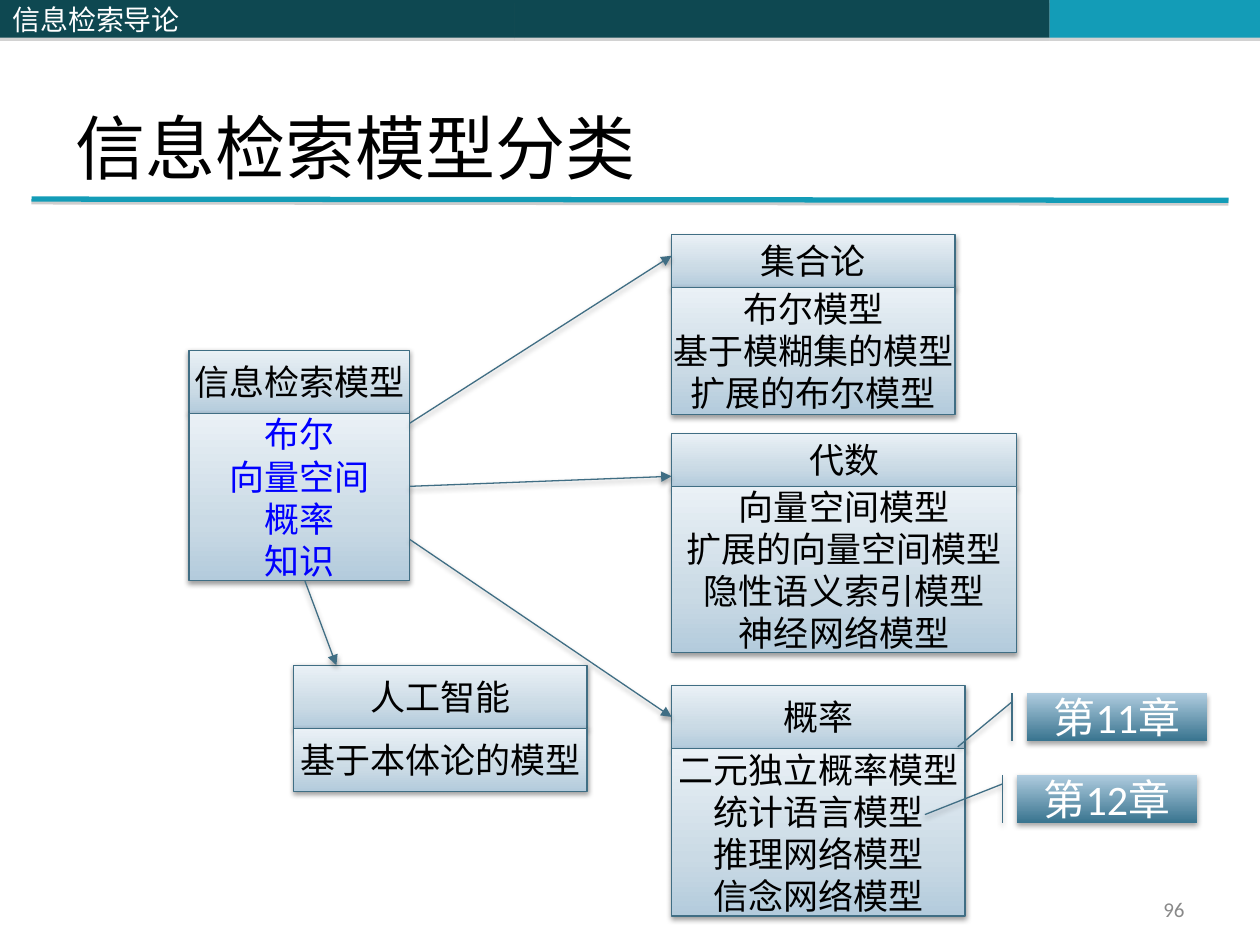
from lxml import etree
from pptx import Presentation
from pptx.dml.color import RGBColor
from pptx.enum.shapes import MSO_CONNECTOR, MSO_SHAPE
from pptx.enum.text import MSO_ANCHOR, PP_ALIGN
from pptx.oxml.ns import qn
from pptx.util import Inches, Pt

RECT, CALLOUT = MSO_SHAPE.RECTANGLE, MSO_SHAPE.LINE_CALLOUT_1_ACCENT_BAR
STRAIGHT = MSO_CONNECTOR.STRAIGHT
LEFT, CENTER, RIGHT = PP_ALIGN.LEFT, PP_ALIGN.CENTER, PP_ALIGN.RIGHT
MIDDLE, BOTTOM = MSO_ANCHOR.MIDDLE, MSO_ANCHOR.BOTTOM

COLORS = {
    "dark": "0E4851", "teal": "139CB7", "edge": "406E84", "white": "FFFFFF",
    "black": "000000", "blue": "0000FF", "gray": "898989",
}
PALE = [(0, "B3CBDC"), (35, "CADAE5"), (100, "EAF1F6")]
STEEL = [(0, "39748F"), (100, "AFCCDF")]
# Shadows: colour, opacity in percent, blur and distance in points
BAR_SHADE = ("808080", 35, 0, 1.8)
RULE_SHADE = ("808080", 38, 0, 1.6)
BOX_SHADE = ("000000", 38, 3.1, 1.6)
TAG_SHADE = ("000000", 35, 3.1, 1.8)
SERIF, SANS, CJK = "Times New Roman", "Calibri", "Noto Sans CJK SC"


def color(name):
    return RGBColor.from_string(COLORS[name])


def node(parent, tag, **attrs):
    return etree.SubElement(parent, qn(tag), {k: str(v) for k, v in attrs.items()})


class Deck:
    def __init__(self):
        self.prs = Presentation()
        self.prs.slide_width, self.prs.slide_height = Inches(10), Inches(7.5)
        self.slide = self.prs.slides.add_slide(self.prs.slide_layouts[5])
        self.shapes = self.slide.shapes

    def shade(self, props, style):
        tint, alpha, blur, dist = style
        effects = props.find(qn("a:effectLst"))
        if effects is None:
            effects = node(props, "a:effectLst")
        shadow = node(effects, "a:outerShdw", blurRad=Pt(blur), dist=Pt(dist),
                      dir=5400000, rotWithShape=0)
        node(node(shadow, "a:srgbClr", val=tint), "a:alpha", val=alpha * 1000)

    def text(self, frame, lines, size, font, tint, align, anchor=MIDDLE, wrap=True):
        frame.word_wrap = wrap
        frame.vertical_anchor = anchor
        frame.text = "\n".join(lines)
        for para in frame.paragraphs:
            para.alignment = align
            para.font.size, para.font.name = Pt(size), font
            para.font.color.rgb = color(tint)

    def title(self, text, *place):
        shape = self.shapes.title
        shape.left, shape.top, shape.width, shape.height = map(Inches, place)
        self.text(shape.text_frame, [text], 40, SERIF, "black", LEFT, BOTTOM)

    def label(self, text, *place):
        box = self.shapes.add_textbox(*map(Inches, place))
        self.text(box.text_frame, [text], 12, SANS, "gray", RIGHT)

    def bar(self, left, width, tint, text=None):
        shape = self.shapes.add_shape(RECT, Inches(left), 0, Inches(width), Inches(0.3))
        shape.fill.solid()
        shape.fill.fore_color.rgb = color(tint)
        shape.line.fill.background()
        shape.shadow.inherit = False
        self.shade(shape._element.spPr, BAR_SHADE)
        if text:
            self.text(shape.text_frame, [text], 16, CJK, "white", LEFT)

    def panel(self, kind, place, stops, style):
        shape = self.shapes.add_shape(kind, *map(Inches, place))
        shape.fill.gradient()
        shape.fill.gradient_angle = 90
        props = shape._element.spPr
        ramp = props.find(qn("a:gradFill")).find(qn("a:gsLst"))
        for stop in list(ramp):
            ramp.remove(stop)
        for pos, tint in stops:
            node(node(ramp, "a:gs", pos=pos * 1000), "a:srgbClr", val=tint)
        shape.line.color.rgb = color("edge")
        shape.line.width = Pt(0.75)
        shape.shadow.inherit = False
        self.shade(props, style)
        return shape

    def card(self, left, top, width, head, body, name, items, tint="black"):
        parts = [(top, head, [name], "black"), (top + head, body, items, tint)]
        for y, height, lines, ink in parts:
            shape = self.panel(RECT, (left, y, width, height), PALE, BOX_SHADE)
            self.text(shape.text_frame, lines, 20, SERIF, ink, CENTER, wrap=False)

    def tag(self, left, top, text, adjust=()):
        shape = self.panel(CALLOUT, (left, top, 1.43, 0.38), STEEL, TAG_SHADE)
        for i, value in enumerate(adjust):
            shape.adjustments[i] = value
        self.text(shape.text_frame, [text], 24, SANS, "white", CENTER)

    def line(self, start, end, tint="edge", width=0.75, style=BOX_SHADE, arrow=True):
        link = self.shapes.add_connector(STRAIGHT, *map(Inches, start + end))
        link.line.color.rgb = color(tint)
        link.line.width = Pt(width)
        props = link._element.spPr
        if arrow:
            node(props.find(qn("a:ln")), "a:tailEnd", type="triangle")
        self.shade(props, style)


def main():
    deck = Deck()

    # Header bars, rule, title and page number
    deck.bar(4.08, 4.25, "dark")
    deck.bar(8.33, 1.67, "teal")
    deck.line((0.25, 1.58), (9.75, 1.59), "teal", 3, RULE_SHADE, arrow=False)
    deck.bar(0, 4.08, "dark", "信息检索导论")
    deck.title("信息检索模型分类", 0.5, 0.3, 9, 1.25)
    deck.label("96", 7.17, 7.08, 2.33, 0.27)

    # Model families: left, top, width, head and body heights
    deck.card(1.5, 2.78, 1.75, 0.5, 1.33, "信息检索模型",
              ["布尔", "向量空间", "概率", "知识"], "blue")
    deck.card(5.33, 1.86, 2.25, 0.42, 1.01, "集合论",
              ["布尔模型", "基于模糊集的模型", "扩展的布尔模型"])
    deck.card(5.33, 3.44, 2.74, 0.42, 1.32, "代数",
              ["向量空间模型", "扩展的向量空间模型", "隐性语义索引模型", "神经网络模型"])
    deck.card(5.33, 5.44, 2.33, 0.5, 1.33, "概率",
              ["二元独立概率模型", "统计语言模型", "推理网络模型", "信念网络模型"])
    deck.card(2.33, 5.28, 2.33, 0.5, 0.5, "人工智能", ["基于本体论的模型"])

    # Arrows from the root to each family
    for y, end in [(3.36, 2.03), (3.86, 3.78), (4.28, 5.69)]:
        deck.line((3.25, y), (5.33, end))
    deck.line((2.42, 4.61), (2.67, 5.28))

    # Chapter callouts
    deck.tag(8.15, 5.5, "第11章")
    deck.tag(8.07, 6.15, "第12章", (0.19, -0.08, 0.83, -0.51))

    deck.prs.save("out.pptx")


if __name__ == "__main__":
    main()
